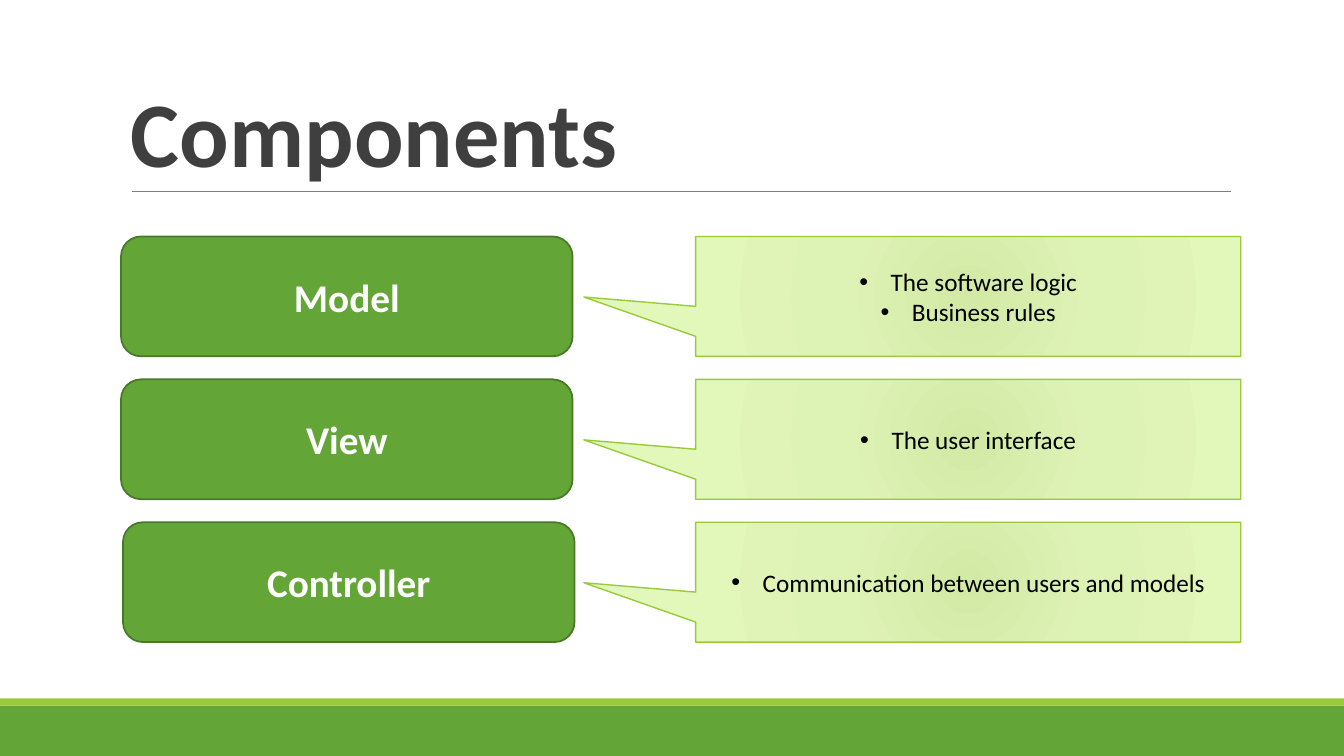
"""Build the Components slide: three green labels with their callouts."""
from dataclasses import dataclass

from pptx import Presentation
from pptx.dml.color import RGBColor
from pptx.enum.shapes import MSO_CONNECTOR, MSO_SHAPE
from pptx.enum.text import MSO_ANCHOR, PP_ALIGN
from pptx.oxml import parse_xml
from pptx.oxml.ns import nsdecls
from pptx.util import Cm, Pt

GREEN = RGBColor(0x63, 0xA5, 0x37)
LIME = RGBColor(0x99, 0xCB, 0x38)
MOSS = RGBColor(0x48, 0x79, 0x28)
GREY = RGBColor(0x7F, 0x7F, 0x7F)
DARK = RGBColor(0x3F, 0x3F, 0x3F)
WHITE = RGBColor(0xFF, 0xFF, 0xFF)
BLACK = RGBColor(0, 0, 0)
GLOW = {
    0: RGBColor(0xD3, 0xEA, 0xA6),
    45: RGBColor(0xDD, 0xF2, 0xB5),
    100: RGBColor(0xE2, 0xF7, 0xBA),
}

TOP, STEP, HIGH = 5.96, 3.6, 3.02
TITLE = {"name": "Calibri", "size": Pt(66), "bold": True}
LABEL = {"name": "Calibri", "size": Pt(28), "bold": True}
POINT = {"name": "Calibri", "size": Pt(18), "bold": False}


@dataclass
class Box:
    left: float
    top: float
    width: float
    height: float

    def cm(self) -> list:
        """Give the four lengths in Cm."""
        return [Cm(n) for n in (self.left, self.top, self.width, self.height)]


@dataclass
class Part:
    name: str
    left: float
    points: list[str]


BANDS = [(Box(0, 17.78, 33.87, 1.27), GREEN), (Box(0, 17.6, 33.87, 0.18), LIME)]
PARTS = [
    Part("Model", 3.05, ["The software logic", "Business rules"]),
    Part("View", 3.05, ["The user interface"]),
    Part("Controller", 3.1, ["Communication between users and models"]),
]


def draw_shape(slide, kind, box: Box, fill: RGBColor, edge=None, weight=1.0):
    """Add a flat shape with a plain fill and an optional edge."""
    shape = slide.shapes.add_shape(kind, *box.cm())
    shape.shadow.inherit = False
    shape.fill.solid()
    shape.fill.fore_color.rgb = fill
    if edge is None:
        shape.line.fill.background()
    else:
        shape.line.color.rgb = edge
        shape.line.width = Pt(weight)
    return shape


def write(shape, lines: list[str], style: dict, ink: RGBColor,
          align=PP_ALIGN.CENTER, anchor=MSO_ANCHOR.MIDDLE) -> list:
    """Fill a shape with one paragraph per line and return them."""
    frame = shape.text_frame
    frame.word_wrap = True
    frame.vertical_anchor = anchor
    frame.text = "\n".join(lines)
    for para in frame.paragraphs:
        para.alignment = align
        font = para.runs[0].font
        font.color.rgb = ink
        for key, value in style.items():
            setattr(font, key, value)
    return list(frame.paragraphs)


def add_glow(shape) -> None:
    """Replace the plain fill with a round gradient."""
    stops = "".join(
        f'<a:gs pos="{pos * 1000}"><a:srgbClr val="{tint}"/></a:gs>'
        for pos, tint in GLOW.items())
    glow = parse_xml(
        f'<a:gradFill {nsdecls("a")} rotWithShape="1"><a:gsLst>{stops}</a:gsLst>'
        '<a:path path="circle"><a:fillToRect l="50000" t="50000" r="50000" '
        'b="50000"/></a:path></a:gradFill>')
    plain = shape.element.spPr.find("{*}solidFill")
    plain.getparent().replace(plain, glow)


def add_dot(para) -> None:
    """Give a paragraph a black bullet and a hanging indent."""
    props = para._p.get_or_add_pPr()
    props.set("marL", str(Cm(0.79)))
    props.set("indent", str(Cm(-0.79)))
    for tag in (f'buClr {nsdecls("a")}><a:srgbClr val="{BLACK}"/></a:buClr',
                f'buFont {nsdecls("a")} typeface="Arial"/',
                f'buChar {nsdecls("a")} char="•"/'):
        props.append(parse_xml(f"<a:{tag}>"))


def draw_title(slide) -> None:
    """Add the title and the rule below it."""
    rule = slide.shapes.add_connector(
        MSO_CONNECTOR.STRAIGHT, Cm(3.33), Cm(4.83), Cm(31.01), Cm(4.83))
    rule.line.color.rgb = GREY
    rule.line.width = Pt(0.75)
    rule.element.spPr.append(parse_xml(f'<a:effectLst {nsdecls("a")}/>'))
    title = slide.shapes.add_textbox(*Box(3.05, 0.79, 27.94, 4.04).cm())
    para, = write(title, ["Components"], TITLE, DARK, PP_ALIGN.LEFT, MSO_ANCHOR.BOTTOM)
    para.line_spacing = 0.85


def draw_part(slide, part: Part, top: float) -> None:
    """Add a label and the callout that points at it."""
    label = draw_shape(slide, MSO_SHAPE.ROUNDED_RECTANGLE,
                       Box(part.left, top, 11.38, HIGH), GREEN, MOSS, 1.25)
    write(label, [part.name], LABEL, WHITE)
    note = draw_shape(slide, MSO_SHAPE.RECTANGULAR_CALLOUT,
                      Box(17.53, top, 13.74, HIGH), GLOW[100], LIME)
    note.adjustments[0] = -0.705
    note.adjustments[1] = 0.005
    add_glow(note)
    for para in write(note, part.points, POINT, BLACK):
        add_dot(para)


def main() -> None:
    """Build and save the slide."""
    deck = Presentation()
    deck.slide_width, deck.slide_height = Cm(33.87), Cm(19.05)
    slide = deck.slides.add_slide(deck.slide_layouts[6])
    for box, fill in BANDS:
        draw_shape(slide, MSO_SHAPE.RECTANGLE, box, fill)
    draw_title(slide)
    for row, part in enumerate(PARTS):
        draw_part(slide, part, TOP + row * STEP)
    deck.save("out.pptx")


if __name__ == "__main__":
    main()
